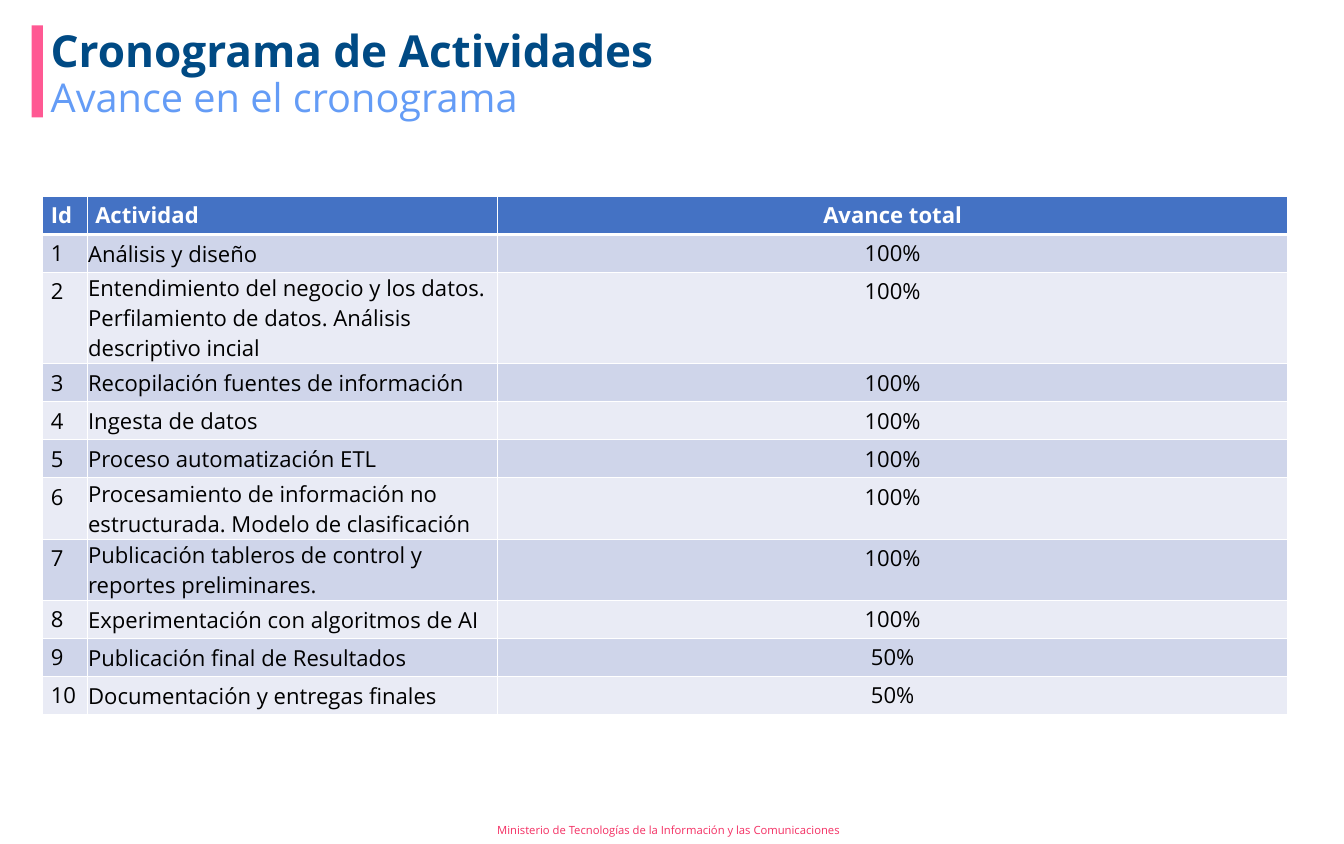
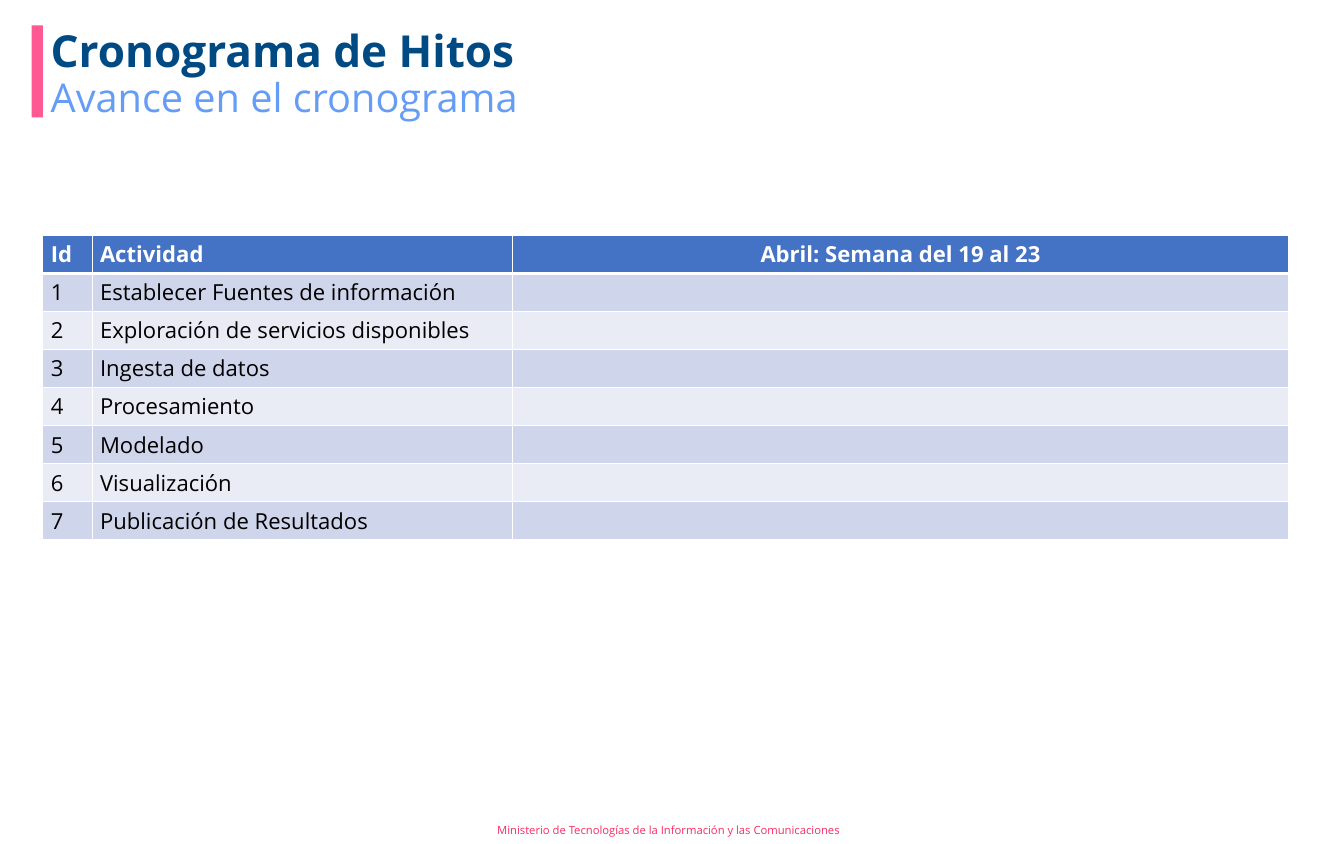
from dataclasses import dataclass

from lxml.etree import SubElement
from pptx import Presentation
from pptx.dml.color import RGBColor
from pptx.enum.shapes import MSO_SHAPE
from pptx.enum.text import MSO_ANCHOR, PP_ALIGN
from pptx.oxml.ns import qn
from pptx.util import Inches, Pt


@dataclass(frozen=True)
class Theme:
    font: str = "Open Sans"
    title: str = "004A84"
    subtitle: str = "649CF6"
    accent: str = "FF5993"
    footer: str = "F42F63"
    header: str = "4472C4"
    bands: tuple = ("CFD5EA", "E9EBF5")
    white: str = "FFFFFF"
    black: str = "000000"
    title_size: float = 40
    subtitle_size: float = 36
    table_size: float = 20
    footer_size: float = 10.2


theme = Theme()

# Page grid, in inches
WIDTH, HEIGHT = 16.93, 10.63
LEFT, TOP = 0.54, 0.32
BAR_WIDTH = 0.14
FOOTER_WIDTH, FOOTER_HEIGHT = 4.6, 0.35
ROW_HEIGHT, LINE_HEIGHT = 0.48, 0.38
TIGHT = 0.01

SUBTITLE = "Avance en el cronograma"
FOOTER = "Ministerio de Tecnologías de la Información y las Comunicaciones"

# Content of the two schedules: activity, progress, lines of text it takes
activities = [
    ("Análisis y diseño", "100%", 1),
    ("Entendimiento del negocio y los datos. Perfilamiento de datos. "
     "Análisis descriptivo incial", "100%", 3),
    ("Recopilación fuentes de información", "100%", 1),
    ("Ingesta de datos", "100%", 1),
    ("Proceso automatización ETL", "100%", 1),
    ("Procesamiento de información no estructurada. Modelo de clasificación",
     "100%", 2),
    ("Publicación tableros de control y reportes preliminares.", "100%", 2),
    ("Experimentación con algoritmos de AI", "100%", 1),
    ("Publicación final de Resultados", "50%", 1),
    ("Documentación y entregas finales", "50%", 1),
]
milestones = [(name, "", 1) for name in (
    "Establecer Fuentes de información",
    "Exploración de servicios disponibles",
    "Ingesta de datos",
    "Procesamiento",
    "Modelado",
    "Visualización",
    "Publicación de Resultados",
)]
# Title, last heading, table top, column widths, tight activity cells, entries
schedules = [
    ("Cronograma de Actividades", "Avance total", 2.47,
     (0.56, 5.17, 9.95), True, activities),
    ("Cronograma de Hitos", "Abril: Semana del 19 al 23", 2.96,
     (0.62, 5.3, 9.77), False, milestones),
]


def write(frame, text, size, color, bold=False, align=PP_ALIGN.LEFT):
    frame.text = text
    paragraph = frame.paragraphs[0]
    paragraph.alignment = align
    for target in (paragraph, *paragraph.runs):
        target.font.name = theme.font
        target.font.size = Pt(size)
        target.font.bold = bold
        target.font.color.rgb = RGBColor.from_string(color)
    return paragraph


def draw_borders(cell, bottom):
    properties = cell._tc.get_or_add_tcPr()
    for side, points in (("L", 1), ("R", 1), ("T", 1), ("B", bottom)):
        line = SubElement(properties, qn(f"a:ln{side}"), w=str(Pt(points)))
        fill = SubElement(line, qn("a:solidFill"))
        SubElement(fill, qn("a:srgbClr"), val=theme.white)


prs = Presentation()
prs.slide_width, prs.slide_height = Inches(WIDTH), Inches(HEIGHT)
blank = prs.slide_layouts[6]

for title, last_heading, table_top, widths, tight, entries in schedules:
    slide = prs.slides.add_slide(blank)

    # Accent bar beside the heading
    bar = slide.shapes.add_shape(
        MSO_SHAPE.RECTANGLE, Inches(LEFT - BAR_WIDTH), Inches(TOP),
        Inches(BAR_WIDTH), Inches(1.16))
    bar.shadow.inherit = False
    bar.fill.solid()
    bar.fill.fore_color.rgb = RGBColor.from_string(theme.accent)
    bar.line.fill.background()

    # Title and subtitle
    headings = (
        (title, TOP, 15.99, 0.55, theme.title_size, theme.title, True),
        (SUBTITLE, 0.93, 13.08, 0.75, theme.subtitle_size, theme.subtitle, False),
    )
    for text, top, width, height, size, color, bold in headings:
        heading = slide.shapes.add_textbox(
            Inches(LEFT), Inches(top), Inches(width), Inches(height)).text_frame
        heading.word_wrap = True
        write(heading, text, size, color, bold).line_spacing = 0.9

    # Footer
    footer = slide.shapes.add_textbox(
        Inches((WIDTH - FOOTER_WIDTH) / 2), Inches(HEIGHT - FOOTER_HEIGHT),
        Inches(FOOTER_WIDTH), Inches(FOOTER_HEIGHT)).text_frame
    footer.word_wrap = True
    footer.vertical_anchor = MSO_ANCHOR.MIDDLE
    write(footer, FOOTER, theme.footer_size, theme.footer)

    # Schedule table, each row tall enough for its lines
    rows = [("Id", "Actividad", last_heading)]
    rows += [(str(number), name, progress)
             for number, (name, progress, _) in enumerate(entries, 1)]
    heights = [ROW_HEIGHT]
    heights += [max(ROW_HEIGHT, lines * LINE_HEIGHT + TIGHT)
                for _, _, lines in entries]
    schedule = slide.shapes.add_table(
        len(rows), len(widths), Inches(LEFT), Inches(table_top),
        Inches(sum(widths)), Inches(sum(heights))).table
    for column, width in zip(schedule.columns, widths):
        column.width = Inches(width)

    for r, (row, height) in enumerate(zip(rows, heights)):
        is_header = r == 0
        background = theme.header if is_header else theme.bands[(r - 1) % 2]
        schedule.rows[r].height = Inches(height)
        for c, text in enumerate(row):
            cell = schedule.cell(r, c)
            draw_borders(cell, bottom=3 if is_header else 1)
            cell.fill.solid()
            cell.fill.fore_color.rgb = RGBColor.from_string(background)
            write(cell.text_frame, text, theme.table_size,
                  theme.white if is_header else theme.black, is_header,
                  PP_ALIGN.CENTER if c == 2 else PP_ALIGN.LEFT)
            if tight and c == 1 and not is_header:
                cell.vertical_anchor = MSO_ANCHOR.MIDDLE
                cell.margin_left = cell.margin_right = cell.margin_top = Inches(TIGHT)
                cell.margin_bottom = 0

prs.save("out.pptx")
